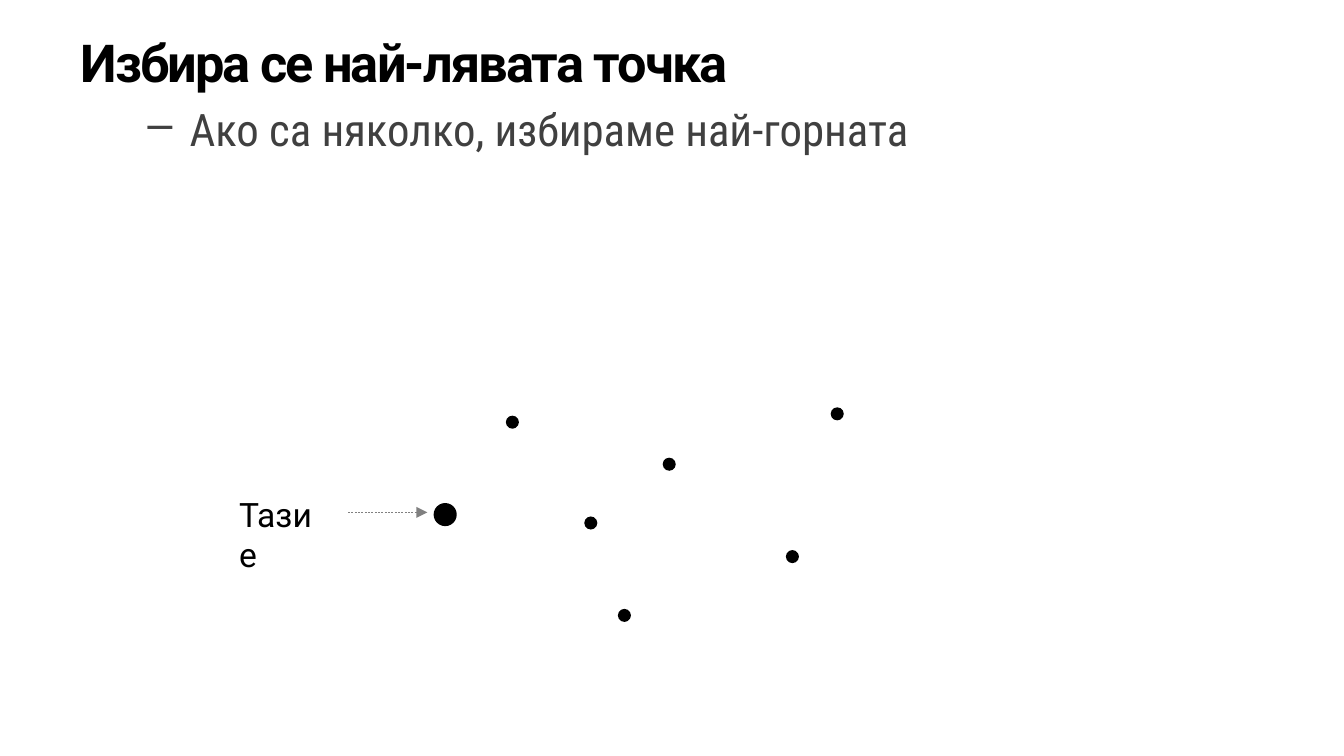
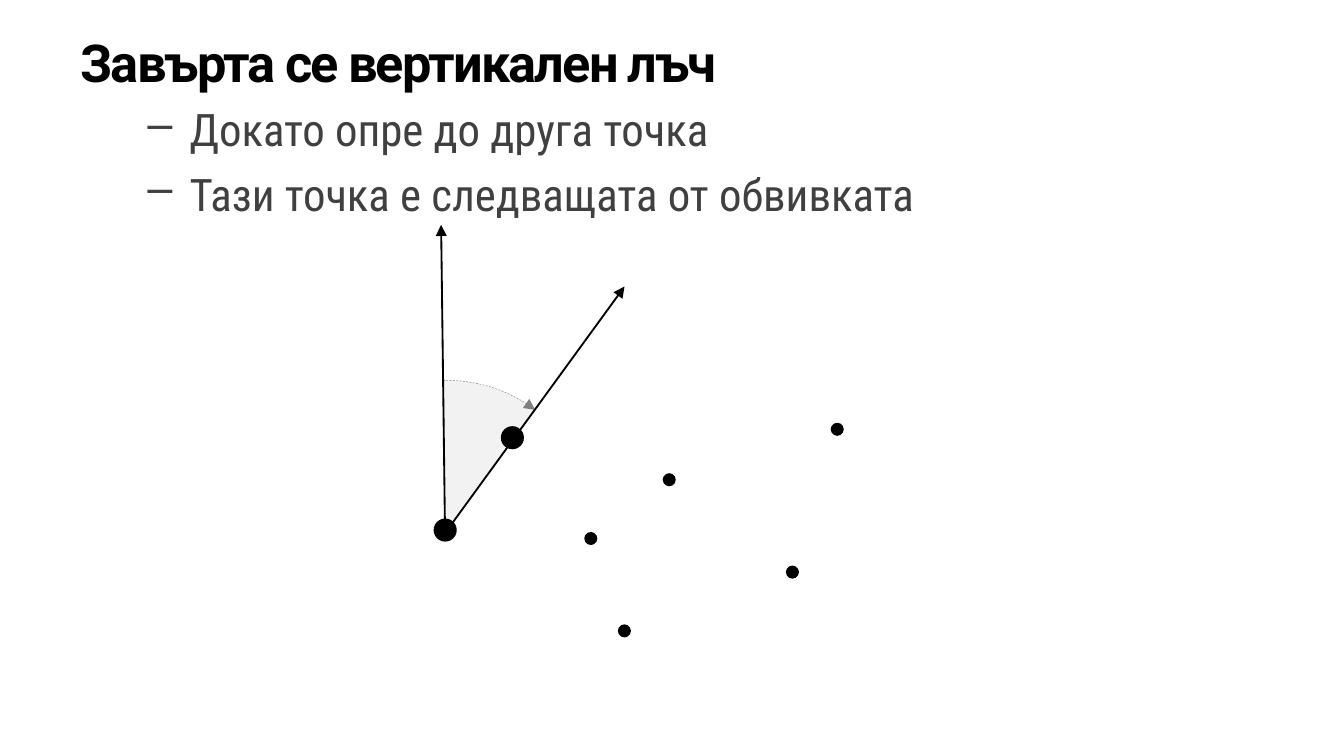
from typing import NamedTuple

from lxml.etree import SubElement
from pptx import Presentation
from pptx.dml.color import RGBColor
from pptx.enum.dml import MSO_LINE
from pptx.enum.shapes import MSO_CONNECTOR, MSO_SHAPE
from pptx.enum.text import MSO_ANCHOR, MSO_AUTO_SIZE, PP_ALIGN
from pptx.oxml.ns import qn
from pptx.util import Pt

COLORS = {"ink": "000000", "body": "404040", "guide": "808080", "wedge": "F2F2F2"}
BOLD_FACE = "Roboto"
BODY_FACE = "Roboto Condensed"
SMALL, LARGE = 7, 12.4


class Box(NamedTuple):
    left: float
    top: float
    width: float
    height: float

    def lengths(self) -> list:
        return [Pt(value) for value in self]


class Dot(NamedTuple):
    x: float
    y: float


class Arrow(NamedTuple):
    start: Dot
    end: Dot
    color: str = "ink"
    width: float = 1
    dashed: bool = False


TITLE = Box(36, 12.7, 684, 40)
LIST = Box(36, 51.2, 684, 70)
LABEL = Box(121, 261, 64.8, 50)
FIRST = Dot(238.5, 275.7)
NEXT = Dot(274.5, 226.2)
DOTS = [
    FIRST, NEXT, Dot(358.5, 248.7), Dot(334.5, 329.7),
    Dot(424.5, 298.2), Dot(448.5, 221.7), Dot(316.5, 280.2),
]
DROP = 8.3


def color(name: str) -> RGBColor:
    return RGBColor.from_string(COLORS[name])


def set_font(para, face: str, size: float, tint: str, bold: bool = False) -> None:
    font = para.font
    font.name, font.size, font.bold = face, Pt(size), bold
    font.color.rgb = color(tint)


def set_frame(frame) -> None:
    frame.word_wrap = True
    frame.auto_size = MSO_AUTO_SIZE.NONE
    frame.vertical_anchor = MSO_ANCHOR.TOP
    frame.margin_left = frame.margin_right = Pt(7.2)
    frame.margin_top = frame.margin_bottom = Pt(3.6)


def add_text(slide, box: Box):
    frame = slide.shapes.add_textbox(*box.lengths()).text_frame
    set_frame(frame)
    return frame


def add_title(slide, text: str) -> None:
    title = slide.shapes.title
    title.left, title.top, title.width, title.height = TITLE.lengths()
    set_frame(title.text_frame)
    title.text_frame.text = text
    para = title.text_frame.paragraphs[0]
    para.alignment = PP_ALIGN.LEFT
    set_font(para, BOLD_FACE, 28, "ink", True)
    para._p.get_or_add_pPr().get_or_add_defRPr().set("spc", "-100")


def add_list(slide, items: list[str]) -> None:
    frame = add_text(slide, LIST)
    for index, item in enumerate(items):
        para = frame.add_paragraph() if index else frame.paragraphs[0]
        para.text = item
        if index:
            para.space_before = Pt(5.6)
        props = para._p.get_or_add_pPr()
        props.set("marL", str(Pt(58.5)))
        props.set("indent", str(Pt(-22.5)))
        SubElement(props, qn("a:buChar"), char="–")
        set_font(para, BODY_FACE, 24, "body")


def add_dots(slide, large: list[Dot], drop: float = 0) -> None:
    for dot in DOTS:
        size = LARGE if dot in large else SMALL
        box = Box(dot.x - size / 2, dot.y + drop - size / 2, size, size)
        shape = slide.shapes.add_shape(MSO_SHAPE.OVAL, *box.lengths())
        shape.shadow.inherit = False
        shape.fill.solid()
        shape.fill.fore_color.rgb = color("ink")
        shape.line.fill.background()


def set_line(shape, tint: str, width: float, dashed: bool) -> None:
    line = shape.line
    line.color.rgb = color(tint)
    line.width = Pt(width)
    if dashed:
        line.dash_style = MSO_LINE.DASH
    SubElement(line._get_or_add_ln(), qn("a:tailEnd"), type="triangle")


def add_arrow(slide, arrow: Arrow) -> None:
    ends = [Pt(value) for value in (*arrow.start, *arrow.end)]
    shape = slide.shapes.add_connector(MSO_CONNECTOR.STRAIGHT, *ends)
    set_line(shape, arrow.color, arrow.width, arrow.dashed)
    SubElement(shape._element.spPr, qn("a:effectLst"))


def add_arc(slide, center: Dot, radius: float, start: float, end: float) -> None:
    box = Box(center.x - radius, center.y - radius, 2 * radius, 2 * radius)
    arc = slide.shapes.add_shape(MSO_SHAPE.ARC, *box.lengths())
    for index, angle in enumerate((start, end)):
        arc.adjustments[index] = angle * 0.6
    arc.shadow.inherit = False
    arc.fill.solid()
    arc.fill.fore_color.rgb = color("wedge")
    set_line(arc, "guide", 0.25, True)


def add_slide(deck, title: str, items: list[str]):
    slide = deck.slides.add_slide(deck.slide_layouts[5])
    add_title(slide, title)
    add_list(slide, items)
    return slide


def add_choice(deck) -> None:
    slide = add_slide(
        deck, "Избира се най-лявата точка", ["Ако са няколко, избираме най-горната"]
    )
    add_dots(slide, [FIRST])
    frame = add_text(slide, LABEL)
    frame.text = "Тази е"
    set_font(frame.paragraphs[0], BOLD_FACE, 18, "ink")
    add_arrow(slide, Arrow(Dot(186.5, 274.5), Dot(229, 274.5), "guide", 0.25, True))


def add_sweep(deck) -> None:
    slide = add_slide(
        deck,
        "Завърта се вертикален лъч",
        ["Докато опре до друга точка", "Тази точка е следващата от обвивката"],
    )
    add_arc(slide, Dot(239.4, 282.6), 78.8, 268.48, 306.91)
    add_arrow(slide, Arrow(Dot(238.4, 284.2), Dot(236.3, 120.5)))
    add_arrow(slide, Arrow(Dot(239.8, 283.7), Dot(334.6, 153.5)))
    add_dots(slide, [FIRST, NEXT], DROP)


def main() -> None:
    deck = Presentation()
    deck.slide_width, deck.slide_height = Pt(720), Pt(405)
    add_choice(deck)
    add_sweep(deck)
    deck.save("out.pptx")


if __name__ == "__main__":
    main()
